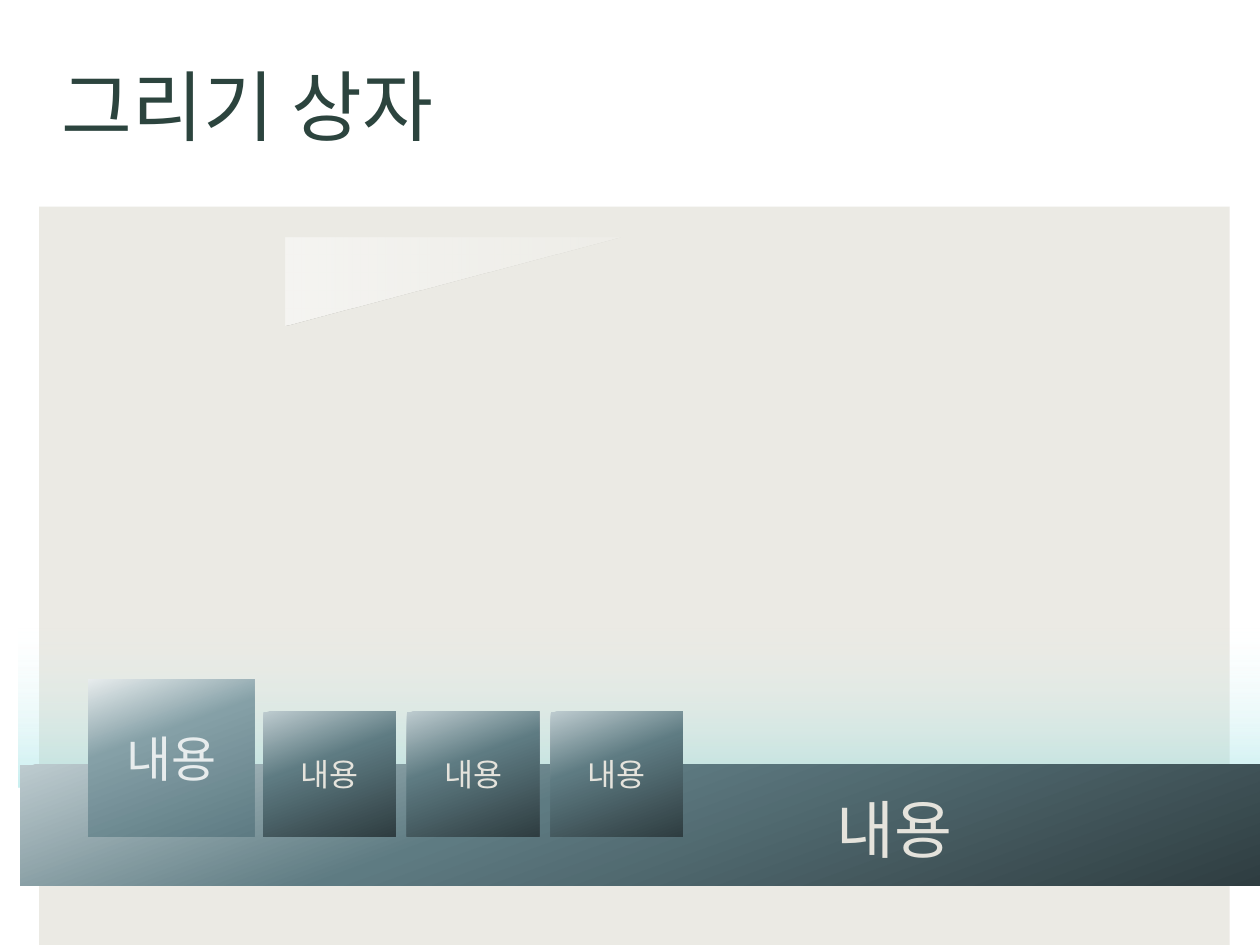
"""Build the drawing box slide with gradient tiles and bars."""
from lxml.etree import SubElement
from pptx import Presentation
from pptx.dml.color import RGBColor
from pptx.enum.shapes import MSO_SHAPE as Shape
from pptx.enum.text import MSO_ANCHOR as Anchor, PP_ALIGN as Align
from pptx.oxml.ns import qn
from pptx.util import Inches, Pt

WHITE = RGBColor(0xFF, 0xFF, 0xFF)
SAND = RGBColor(0xE5, 0xE3, 0xDC)
DARK_GREEN = RGBColor(0x2C, 0x44, 0x3E)
MIST = RGBColor(0xE7, 0xEC, 0xED)
PALE_AQUA = RGBColor(0xE0, 0xF6, 0xF7)
AQUA = RGBColor(0x74, 0xD7, 0xD9)
SILVER = RGBColor(0xBD, 0xCB, 0xCF)
TEAL = RGBColor(0x5E, 0x7B, 0x82)
SLATE = RGBColor(0x2F, 0x3D, 0x41)
LIGHT_TEAL = RGBColor(0x85, 0xA0, 0xA7)
SOFT_TEAL = RGBColor(0x5E, 0x7B, 0x83)

PANEL_FILL = [(0, SAND, 75), (100, SAND, 75)]
GLOW = [(23, PALE_AQUA, 0), (100, AQUA, 39)]
STEEL = [(0, SILVER, 100), (40, TEAL, 100), (100, SLATE, 100)]
HIGHLIGHT = [(0, MIST, 100), (37, LIGHT_TEAL, 100), (100, SOFT_TEAL, 100)]
SHINE = [(0, WHITE, 15), (50, WHITE, 30), (100, WHITE, 50)]

LABEL = "내용"
TILE_LEFT, TILE_STEP, TILE_COUNT = 2.09, 1.14, 3


def set_attributes(target, values):
    """Set each named attribute of the target."""
    for name, value in values.items():
        setattr(target, name, value)


def write_text(shape, text, size, color, align, **frame_values):
    """Put one formatted line of text in a shape."""
    frame = shape.text_frame
    frame.text = text
    set_attributes(frame, {"word_wrap": True, "vertical_anchor": Anchor.MIDDLE, **frame_values})
    paragraph = frame.paragraphs[0]
    paragraph.alignment = align
    font = paragraph.runs[0].font
    set_attributes(font, {"name": "Arial", "size": Pt(size), "bold": False})
    font.color.rgb = color


def fill_gradient(shape, stops, angle):
    """Fill a shape with a linear gradient of (position, color, opacity) stops."""
    gradient = SubElement(shape.element.spPr, qn("a:gradFill"), rotWithShape="1")
    stop_list = SubElement(gradient, qn("a:gsLst"))
    for position, color, opacity in stops:
        stop = SubElement(stop_list, qn("a:gs"), pos=str(position * 1000))
        tone = SubElement(stop, qn("a:srgbClr"), val=str(color))
        if opacity < 100:
            SubElement(tone, qn("a:alpha"), val=str(opacity * 1000))
    SubElement(gradient, qn("a:lin"), ang=str(angle * 60000), scaled="0")


def add_block(slide, box, stops, angle, kind=Shape.RECTANGLE):
    """Add a borderless gradient shape."""
    shape = slide.shapes.add_shape(kind, *map(Inches, box))
    fill_gradient(shape, stops, angle)
    shape.line.fill.background()
    shape.shadow.inherit = False
    return shape


def add_tile(slide, box, stops, size, color):
    """Add a gradient tile with a centred label."""
    tile = add_block(slide, box, stops, 70)
    write_text(tile, LABEL, size, color, Align.CENTER)


def add_title(slide):
    """Place and format the slide title."""
    title = slide.shapes.title
    box = map(Inches, (0.39, 0.33, 9, 1.01))
    set_attributes(title, dict(zip(("left", "top", "width", "height"), box)))
    write_text(title, "그리기 상자", 44, DARK_GREEN, Align.LEFT)


def add_caption(slide):
    """Add the large label on the bar."""
    caption = slide.shapes.add_textbox(*map(Inches, (6.64, 6.27, 2.16, 0.61)))
    margins = dict.fromkeys(("margin_left", "margin_top", "margin_right", "margin_bottom"), 0)
    write_text(caption, LABEL, 36, SAND, Align.LEFT, **margins)


def main():
    """Build and save the presentation."""
    presentation = Presentation()
    set_attributes(presentation, {"slide_width": Inches(10), "slide_height": Inches(7.5)})
    slide = presentation.slides.add_slide(presentation.slide_layouts[5])
    add_block(slide, (0.31, 1.64, 9.45, 5.86), PANEL_FILL, 90)
    add_block(slide, (0.15, 4.61, 9.85, 1.64), GLOW, 90)
    add_block(slide, (0.16, 6.07, 9.84, 0.96), STEEL, 70)
    add_title(slide)
    for index in range(TILE_COUNT):
        add_tile(slide, (TILE_LEFT + index * TILE_STEP, 5.65, 1.05, 0.99), STEEL, 18, SAND)
    add_tile(slide, (0.7, 5.39, 1.32, 1.25), HIGHLIGHT, 28, MIST)
    add_caption(slide)
    shine = add_block(slide, (3.25, 0.91, 0.69, 2.65), SHINE, 90, Shape.RIGHT_TRIANGLE)
    shine.rotation = 90
    presentation.save("out.pptx")


if __name__ == "__main__":
    main()
